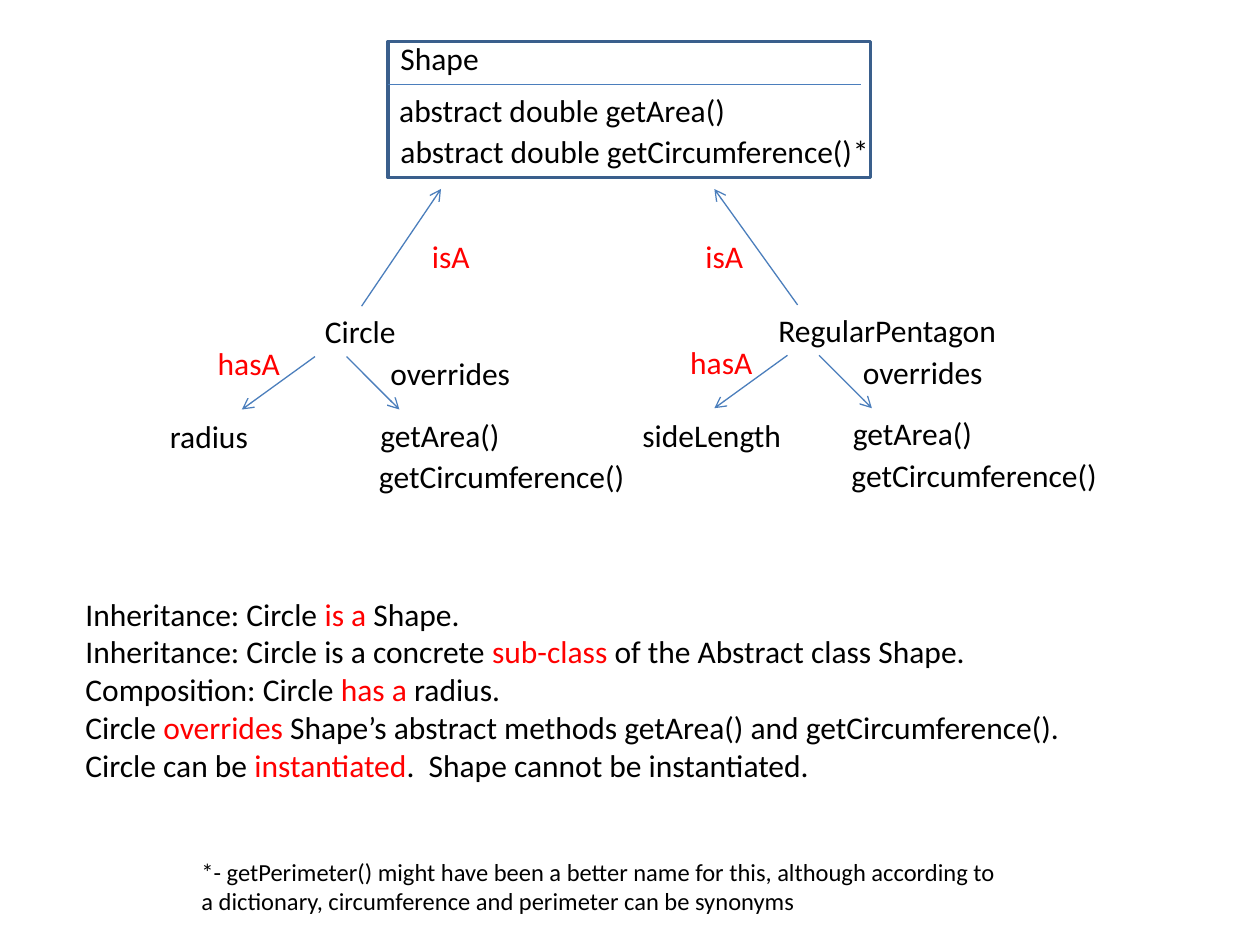
from lxml import etree
from pptx import Presentation
from pptx import util as u
from pptx.dml.color import RGBColor
from pptx.enum import shapes, text
from pptx.oxml import ns

BLACK = RGBColor(0x00, 0x00, 0x00)
RED = RGBColor(0xFF, 0x00, 0x00)
BORDER = RGBColor(0x3A, 0x5F, 0x8C)
LINE = RGBColor(0x4B, 0x7E, 0xBC)


def add_span(para, words, font="Calibri", size=18, color=BLACK):
    span = para.add_run()
    span.text = words
    span.font.name = font
    span.font.size = u.Pt(size)
    span.font.color.rgb = color


class Diagram:
    """Holds the diagram's style and the page it is drawn on."""

    def __init__(self, page, font="Calibri"):
        self.page = page
        self.font = font

    def outline(self, left, top, width, height):
        box = self.page.shapes.add_shape(
            shapes.MSO_SHAPE.RECTANGLE,
            *map(u.Inches, (left, top, width, height)))
        box.shadow.inherit = False
        box.fill.background()
        box.line.color.rgb = BORDER
        box.line.width = u.Pt(2)

    def line(self, start, end, arrow=False):
        connector = self.page.shapes.add_connector(
            shapes.MSO_CONNECTOR.STRAIGHT, *map(u.Inches, (*start, *end)))
        connector.line.color.rgb = LINE
        connector.line.width = u.Pt(0.75)
        if arrow:
            etree.SubElement(connector.line._get_or_add_ln(),
                             ns.qn("a:tailEnd"), type="arrow")
        etree.SubElement(connector._element.spPr, ns.qn("a:effectLst"))

    def paragraphs(self, rows, left, top, width, height, size=18,
                   color=BLACK):
        """Each row lists its spans; every second span is highlighted."""
        box = self.page.shapes.add_textbox(
            *map(u.Inches, (left, top, width, height)))
        frame = box.text_frame
        frame.word_wrap = False
        frame.auto_size = text.MSO_AUTO_SIZE.SHAPE_TO_FIT_TEXT
        for index, row in enumerate(rows):
            para = frame.add_paragraph() if index else frame.paragraphs[0]
            for position, words in enumerate(row):
                add_span(para, words, font=self.font, size=size,
                         color=RED if position % 2 else color)

    def label(self, words, left, top, width, color=BLACK):
        self.paragraphs([(words,)], left, top, width, 0.4, color=color)

    def subclass(self, x, y, field, field_width):
        """Draw the members of a subclass, measured from its hasA label."""
        self.line((x + 0.87, y + 0.15), (x + 0.29, y + 0.57), arrow=True)
        self.label("hasA", x, y, 0.7, color=RED)
        self.label(field, x - 0.38, y + 0.58, field_width)
        self.line((x + 1.12, y + 0.15), (x + 1.54, y + 0.57), arrow=True)
        self.label("overrides", x + 1.37, y + 0.08, 1.16)
        self.label("getArea()", x + 1.29, y + 0.57, 1.16)
        self.label("getCircumference()", x + 1.28, y + 0.9, 2.17)


def main():
    deck = Presentation()
    deck.slide_width, deck.slide_height = u.Inches(10), u.Inches(7.5)
    diagram = Diagram(deck.slides.add_slide(deck.slide_layouts[6]))

    # Abstract class
    diagram.outline(3.08, 0.33, 3.83, 1.08)
    diagram.line((3.08, 0.67), (6.83, 0.67))
    diagram.label("Shape", 3.08, 0.26, 0.83)
    diagram.label("abstract double getArea()", 3.07, 0.67, 2.84)
    diagram.label("abstract double getCircumference()", 3.08, 1, 3.83)
    diagram.label("*", 6.67, 1, 0.33)

    # Circle
    diagram.label("Circle", 2.48, 2.43, 0.77)
    diagram.label("isA", 3.33, 1.83, 0.5, color=RED)
    diagram.line((2.87, 2.43), (3.5, 1.5), arrow=True)
    diagram.subclass(1.63, 2.68, "radius", 0.83)

    # Regular pentagon
    diagram.label("RegularPentagon", 6.08, 2.42, 1.95)
    diagram.label("isA", 5.5, 1.83, 0.5, color=RED)
    diagram.line((6.33, 2.42), (5.67, 1.5), arrow=True)
    diagram.subclass(5.38, 2.67, "sideLength", 1.32)

    # Explanation
    diagram.paragraphs([
        ("Inheritance: Circle ", "is a", " Shape."),
        ("Inheritance: Circle is a concrete ", "sub-class",
         " of the Abstract class Shape."),
        ("Composition: Circle ", "has a", " radius."),
        ("Circle ", "overrides",
         " Shape’s abstract methods getArea() and getCircumference()."),
        ("Circle can be ", "instantiated",
         ".  Shape cannot be instantiated."),
    ], 0.58, 4.67, 8.03, 1.62)

    # Footnote
    diagram.paragraphs([
        ("*- getPerimeter() might have been a better name for this, "
         "although according to",),
        ("a dictionary, circumference and perimeter can be synonyms",),
    ], 1.5, 6.75, 6.61, 0.57, size=14)

    deck.save("out.pptx")


if __name__ == "__main__":
    main()
